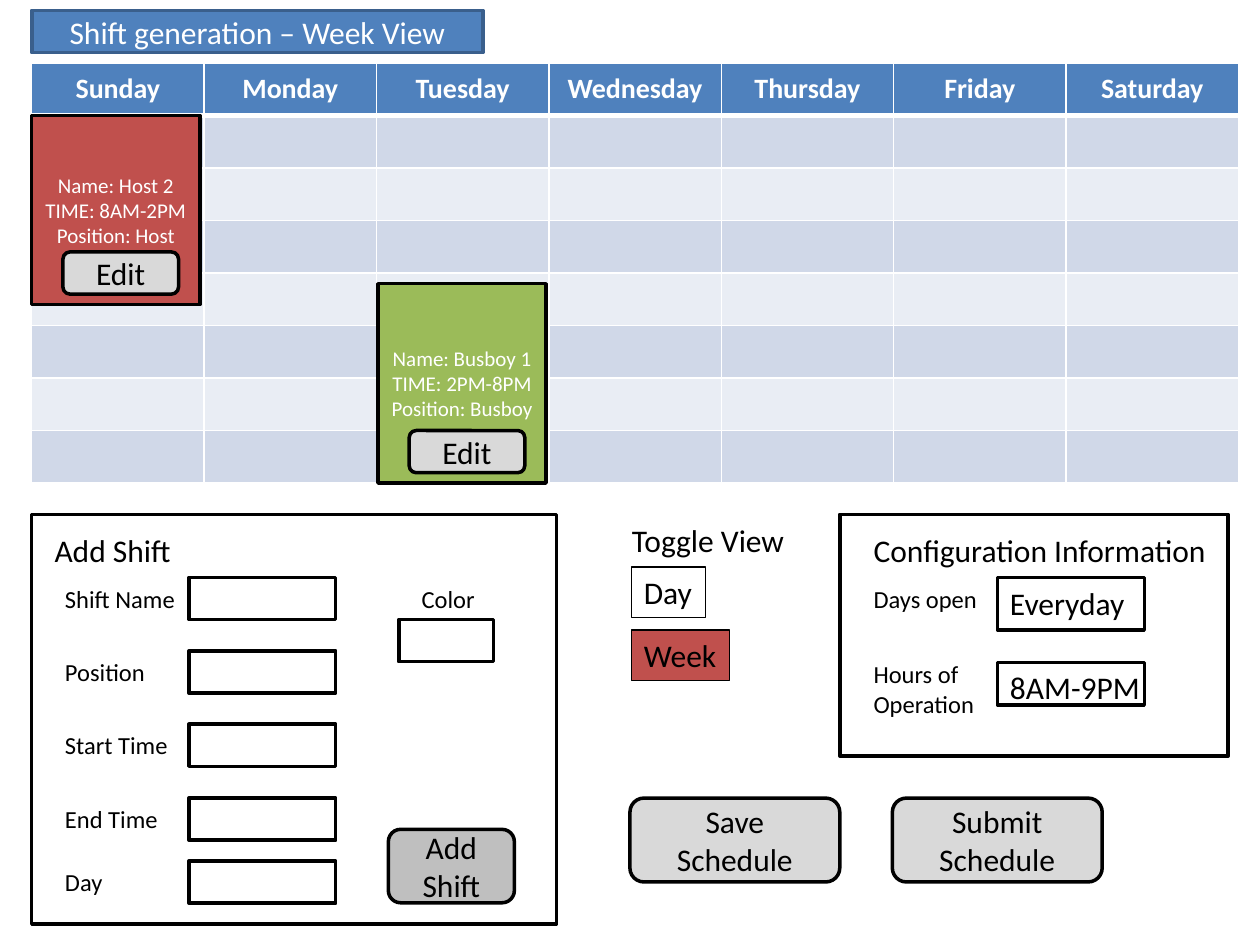
"""Build the week view screen of a shift scheduler."""
from dataclasses import dataclass

from lxml.etree import SubElement
from pptx import Presentation
from pptx.dml.color import RGBColor
from pptx.enum.shapes import MSO_SHAPE
from pptx.enum.text import MSO_ANCHOR, MSO_AUTO_SIZE, PP_ALIGN
from pptx.oxml.ns import qn
from pptx.util import Cm, Pt


@dataclass(frozen=True)
class Theme:
    font: str = "Calibri"
    black: str = "000000"
    white: str = "FFFFFF"
    blue: str = "4F81BD"
    navy: str = "3A5F8C"
    red: str = "C0504D"
    green: str = "9BBB59"
    button: str = "D9D9D9"
    add_button: str = "BFBFBF"
    bands: tuple = ("E9EDF4", "D0D8E8")
    body: int = 18
    header: int = 16
    label: int = 14
    card: int = 12


T = Theme()
RECT, ROUND = MSO_SHAPE.RECTANGLE, MSO_SHAPE.ROUNDED_RECTANGLE


def write(tf, lines, size=T.body, color=T.black, align=PP_ALIGN.CENTER, bold=False):
    for i, line in enumerate(lines):
        p = tf.paragraphs[0] if i == 0 else tf.add_paragraph()
        p.alignment = align
        r = p.add_run()
        r.text = line
        r.font.name, r.font.size, r.font.bold = T.font, Pt(size), bold
        r.font.color.rgb = RGBColor.from_string(color)


def box(kind, x, y, w, h, lines=(), fill=None, line=2, size=T.body,
        color=T.black, align=PP_ALIGN.CENTER, wrap=True):
    at = Cm(x), Cm(y), Cm(w), Cm(h)
    if kind is None:
        sp = s.shapes.add_textbox(*at)
    else:
        sp = s.shapes.add_shape(kind, *at)
        sp.shadow.inherit = False
        sp.line.color.rgb = RGBColor.from_string(T.black)
        sp.line.width = Pt(line)
        if fill:
            sp.fill.solid()
            sp.fill.fore_color.rgb = RGBColor.from_string(fill)
        else:
            sp.fill.background()
    tf = sp.text_frame
    tf.word_wrap = wrap
    left = align == PP_ALIGN.LEFT
    tf.vertical_anchor = MSO_ANCHOR.TOP if left else MSO_ANCHOR.MIDDLE
    if left:
        tf.auto_size = MSO_AUTO_SIZE.SHAPE_TO_FIT_TEXT
    write(tf, lines, size, color, align)


prs = Presentation()
prs.slide_width, prs.slide_height = Cm(25.4), Cm(19.05)
s = prs.slides.add_slide(prs.slide_layouts[5])

title = s.shapes.title
title.left, title.top, title.width, title.height = Cm(0.64), Cm(0.21), Cm(9.1), Cm(0.85)
geom = SubElement(title.element.spPr, qn("a:prstGeom"), prst="roundRect")
SubElement(geom, qn("a:avLst"))
title.fill.solid()
title.fill.fore_color.rgb = RGBColor.from_string(T.blue)
title.line.color.rgb = RGBColor.from_string(T.navy)
title.line.width = Pt(2)
title.text_frame.auto_size = MSO_AUTO_SIZE.NONE
title.text_frame.vertical_anchor = MSO_ANCHOR.MIDDLE
write(title.text_frame, ["Shift generation – Week View"], color=T.white)

days = ["Sunday", "Monday", "Tuesday", "Wednesday", "Thursday", "Friday", "Saturday"]
week = s.shapes.add_table(8, len(days), Cm(0.64), Cm(1.27), Cm(24.33), Cm(8.47)).table
for row_no, row in enumerate(week.rows):
    for day, cell in zip(days, row.cells):
        tcPr = cell._tc.get_or_add_tcPr()
        for side in ("lnL", "lnR", "lnT", "lnB"):
            heavy = (row_no == 0 and side == "lnB") or (row_no == 1 and side == "lnT")
            ln = SubElement(tcPr, qn("a:" + side), w=str(Pt(3 if heavy else 1)))
            SubElement(SubElement(ln, qn("a:solidFill")), qn("a:srgbClr"), val=T.white)
        cell.fill.solid()
        fill = T.bands[row_no % 2] if row_no else T.blue
        cell.fill.fore_color.rgb = RGBColor.from_string(fill)
        if row_no == 0:
            cell.vertical_anchor = MSO_ANCHOR.MIDDLE
            write(cell.text_frame, [day], T.header, T.white, bold=True)

for x, y, h, fill, edit_y, name, hours, position in [
    (0.64, 2.33, 3.81, T.red, 5.08, "Host 2", "8AM-2PM", "Host"),
    (7.62, 5.72, 4.02, T.green, 8.68, "Busboy 1", "2PM-8PM", "Busboy"),
]:
    lines = [f"Name: {name}", f"TIME: {hours}", f"Position: {position}"]
    box(RECT, x, y, 3.39, h, lines, fill, size=T.card, color=T.white)
    box(ROUND, x + 0.63, edit_y, 2.33, 0.85, ["Edit"], T.button)

for x, w, h in [(0.64, 10.58, 8.26), (16.93, 7.83, 4.87)]:
    box(RECT, x, 10.37, w, h)

for x, y, w, h in [
    *[(3.81, y, 2.96, 0.85) for y in (11.64, 13.12, 14.6, 16.09, 17.36)],
    (8.04, 12.49, 1.91, 0.85),
    (20.11, 11.64, 2.96, 1.06),
    (20.11, 13.36, 2.96, 0.85),
]:
    box(RECT, x, y, w, h)

for text, x, y, w in [
    ("Shift Name", 1.06, 11.64, 2.77),
    ("Position", 1.06, 13.12, 2.13),
    ("Start Time", 1.06, 14.6, 2.62),
    ("End Time", 1.06, 16.09, 2.41),
    ("Day", 1.06, 17.36, 1.27),
    ("Color", 8.25, 11.64, 1.6),
    ("Days open", 17.36, 11.64, 2.62),
]:
    box(None, x, y, w, 0.86, [text], size=T.label, align=PP_ALIGN.LEFT, wrap=False)
box(None, 17.36, 13.17, 2.74, 1.44, ["Hours of Operation"], size=T.label, align=PP_ALIGN.LEFT)

for text, x, y, w in [
    ("Add Shift", 0.85, 10.58, 2.9),
    ("Toggle View", 12.49, 10.37, 3.63),
    ("Configuration Information", 17.36, 10.58, 7.29),
    ("Everyday", 20.11, 11.64, 2.84),
    ("8AM-9PM", 20.11, 13.34, 3.15),
]:
    box(None, x, y, w, 1.02, [text], align=PP_ALIGN.LEFT, wrap=False)

for text, y, w, fill in [("Day", 11.43, 1.5, None), ("Week", 12.7, 1.98, T.red)]:
    box(RECT, 12.73, y, w, 1.02, [text], fill, 0.75, align=PP_ALIGN.LEFT, wrap=False)

for text, x, y, w, h, fill in [
    ("Add Shift", 7.83, 16.72, 2.54, 1.48, T.add_button),
    ("Save Schedule", 12.7, 16.09, 4.23, 1.69, T.button),
    ("Submit Schedule", 17.99, 16.09, 4.23, 1.69, T.button),
]:
    box(ROUND, x, y, w, h, [text], fill)

prs.save("out.pptx")
